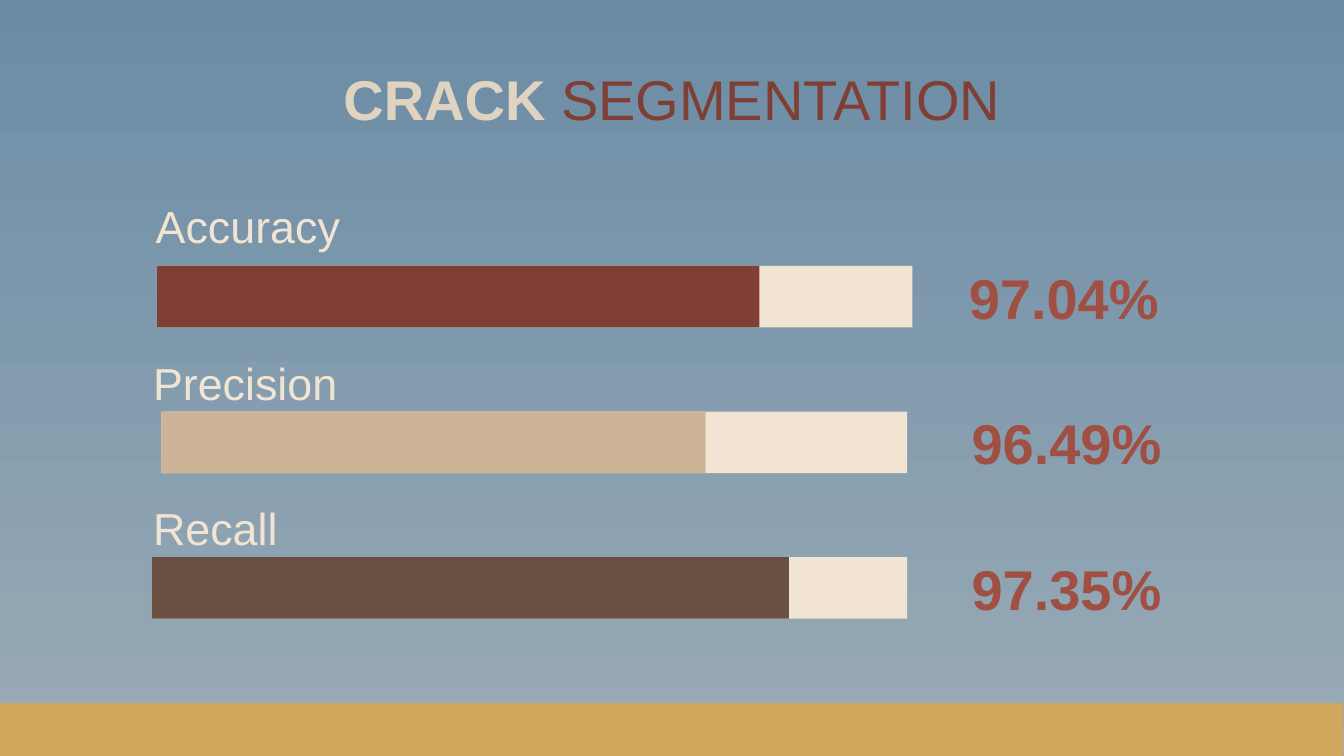
from pptx import Presentation
from pptx.dml.color import RGBColor
from pptx.enum.shapes import MSO_SHAPE as Shape
from pptx.enum.text import MSO_ANCHOR as Anchor, MSO_AUTO_SIZE as AutoSize, PP_ALIGN as Align
from pptx.util import Pt

TITLE = (("CRACK ", "cream", True), ("SEGMENTATION", "maroon", False))
METRICS = (
    dict(name="Accuracy", score="97.04%", color="maroon", left=84.2, track=404.6,
         filled=322.6, label_left=76.3, label_rise=37.5, score_right=627.8),
    dict(name="Precision", score="96.49%", color="tan", left=86.4, track=399.6,
         filled=291.6, label_left=74.9, label_rise=31.4, score_right=629.3),
    dict(name="Recall", score="97.35%", color="brown", left=81.4, track=404.6,
         filled=341.3, label_left=74.9, label_rise=31.4, score_right=629.3),
)
THEME = dict(
    font="Arial", title=30, label=24, score=30,
    sky_top="6B8CA6", sky_bottom="9AABB6", gold="CFA75D", pale="F2E4D3",
    cream="E0D4C1", maroon="803F35", tan="CEB497", brown="695040", rust="A05043",
)
WIDTH, HEIGHT = 720, 405
FIRST_BAR, BAR_PITCH, BAR_HEIGHT = 142.5, 78, 33
LABEL_WIDTH, SCORE_WIDTH, TEXT_HEIGHT = 287.3, 142.6, 37.4
INSET = 7.2


def color(name):
    return RGBColor.from_string(THEME[name])


def add_bar(slide, left, top, width, height, fill):
    bar = slide.shapes.add_shape(Shape.RECTANGLE, Pt(left), Pt(top), Pt(width), Pt(height))
    bar.shadow.inherit = False
    bar.fill.solid()
    bar.fill.fore_color.rgb = color(fill)
    bar.line.fill.background()
    return bar


def format_text(box, size, align, anchor):
    frame = box.text_frame
    frame.word_wrap = True
    frame.auto_size = AutoSize.NONE
    frame.vertical_anchor = anchor
    frame.margin_left = frame.margin_right = Pt(INSET)
    frame.margin_top = frame.margin_bottom = Pt(INSET)
    paragraph = frame.paragraphs[0]
    paragraph.alignment = align
    paragraph.font.name = THEME["font"]
    paragraph.font.size = Pt(THEME[size])
    return paragraph


def add_text(slide, text, left, top, width, size, ink, align, anchor, bold=False):
    box = slide.shapes.add_textbox(Pt(left), Pt(top), Pt(width), Pt(TEXT_HEIGHT))
    paragraph = format_text(box, size, align, anchor)
    paragraph.add_run().text = text
    paragraph.font.color.rgb = color(ink)
    paragraph.font.bold = bold


def add_title(slide):
    title = slide.shapes.title
    title.left, title.top, title.width, title.height = Pt(56.2), Pt(27.4), Pt(607.7), Pt(45.4)
    paragraph = format_text(title, "title", Align.CENTER, Anchor.TOP)
    for text, ink, bold in TITLE:
        word = paragraph.add_run()
        word.text = text
        word.font.bold = bold
        word.font.color.rgb = color(ink)


def add_metric(slide, metric, top):
    for width, fill in ((metric["track"], "pale"), (metric["filled"], metric["color"])):
        add_bar(slide, metric["left"], top, width, BAR_HEIGHT, fill)
    add_text(slide, metric["name"], metric["label_left"], top - metric["label_rise"],
             LABEL_WIDTH, "label", "pale", Align.LEFT, Anchor.BOTTOM)
    add_text(slide, metric["score"], metric["score_right"] - SCORE_WIDTH,
             top + (BAR_HEIGHT - TEXT_HEIGHT) / 2, SCORE_WIDTH,
             "score", "rust", Align.RIGHT, Anchor.MIDDLE, bold=True)


def main():
    deck = Presentation()
    deck.slide_width, deck.slide_height = Pt(WIDTH), Pt(HEIGHT)
    slide = deck.slides.add_slide(deck.slide_layouts.get_by_name("Title Only"))

    sky = slide.background.fill
    sky.gradient()
    sky.gradient_angle = 270
    for stop, position, name in zip(sky.gradient_stops, (0, 1), ("sky_top", "sky_bottom")):
        stop.position = position
        stop.color.rgb = color(name)

    ground = add_bar(slide, -0.7, 377.2, WIDTH, 27.4, "gold")
    ground.line.color.rgb = color("gold")
    ground.line.width = Pt(0.75)

    add_title(slide)
    for row, metric in enumerate(METRICS):
        add_metric(slide, metric, FIRST_BAR + row * BAR_PITCH)
    deck.save("out.pptx")


if __name__ == "__main__":
    main()
